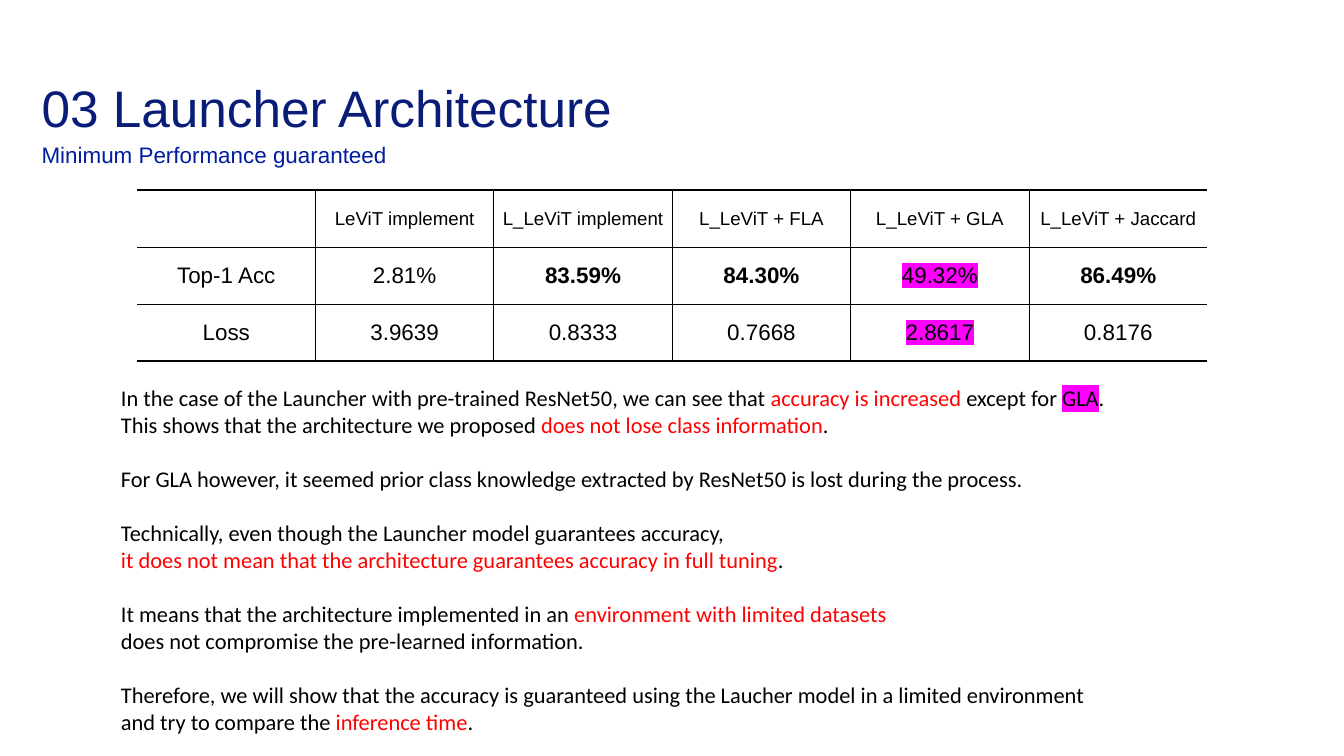
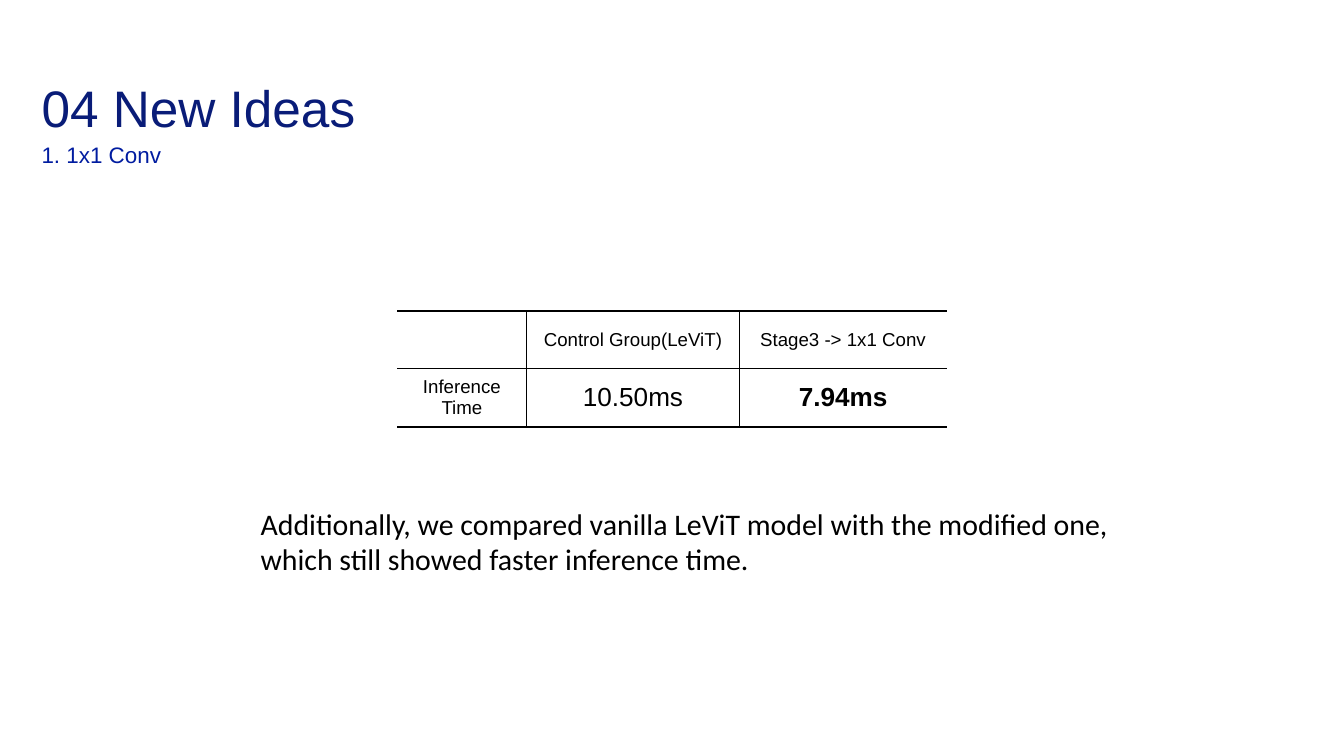
import pptx
import pptx.dml.color
import pptx.enum.text
import pptx.oxml
import pptx.oxml.ns
import pptx.util

Cm = pptx.util.Cm
Pt = pptx.util.Pt
RGB = pptx.dml.color.RGBColor
MIDDLE = pptx.enum.text.MSO_ANCHOR.MIDDLE
ALIGN = pptx.enum.text.PP_ALIGN

NAVY = RGB(0x09, 0x1C, 0x78)
BLUE = RGB(0x00, 0x1C, 0xA0)
BLACK = RGB(0x00, 0x00, 0x00)
RED = RGB(0xFF, 0x00, 0x00)
PINK = RGB(0xFF, 0x00, 0xFF)

HEAD_FONT = "Arial"
BODY_FONT = "Calibri"
THIN, THICK = Pt(1), Pt(2.25)

LOOKS = {
    "plain": {},
    "red": {"color": RED},
    "bold": {"bold": True},
    "mark": {"mark": PINK},
}


def style(run, size, name, color=BLACK, bold=False, mark=None):
    font = run.font
    font.size, font.name, font.bold = Pt(size), name, bold
    font.color.rgb = color
    if mark is not None:
        glow = pptx.oxml.parse_xml(
            f'<a:highlight {pptx.oxml.ns.nsdecls("a")}>'
            f'<a:srgbClr val="{mark}"/></a:highlight>')
        run._r.rPr.find(pptx.oxml.ns.qn("a:solidFill")).addnext(glow)


def fill_line(para, parts, size, name):
    """Write a line given as text or as a list of text and (text, look)."""
    for part in [parts] if isinstance(parts, (str, tuple)) else parts:
        text, look = (part, "plain") if isinstance(part, str) else part
        run = para.add_run()
        run.text = text
        style(run, size, name, **LOOKS[look])


def place(shape, box):
    shape.left, shape.top, shape.width, shape.height = map(Cm, box)


def set_head(shape, box, text, size, color, spacing):
    place(shape, box)
    frame = shape.text_frame
    frame.text = text
    frame.word_wrap = True
    frame.auto_size = pptx.enum.text.MSO_AUTO_SIZE.NONE
    frame.vertical_anchor = MIDDLE
    frame.margin_left = frame.margin_right = 0
    frame.margin_top = frame.margin_bottom = 0
    para = frame.paragraphs[0]
    para.alignment = ALIGN.LEFT
    para.line_spacing = spacing
    style(para.runs[0], size, HEAD_FONT, color)


def add_page(deck, title, topic):
    slide = deck.slides.add_slide(deck.slide_layouts[5])
    set_head(slide.shapes.title, (1.57, 2.51, 25.93, 2.72),
             title, 55, NAVY, 1.16)
    label = slide.shapes.add_textbox(0, 0, 0, 0)
    set_head(label, (1.57, 5.28, 34.37, 1.24), topic, 24, BLUE, 0.95)
    return slide


def add_body(slide, box, blocks, size):
    """Add blocks of lines, set apart by the height of one line."""
    shape = slide.shapes.add_textbox(0, 0, 0, 0)
    place(shape, box)
    frame = shape.text_frame
    frame.word_wrap = True
    frame.margin_left = frame.margin_right = Cm(0.25)
    frame.margin_top = frame.margin_bottom = Cm(0.25)
    para = frame.paragraphs[0]
    for i, block in enumerate(blocks):
        for j, line in enumerate(block):
            if i or j:
                para = frame.add_paragraph()
            if i and not j:
                para.space_before = Pt(size * 1.22)
            fill_line(para, line, size, BODY_FONT)


def set_edges(cell, edges):
    """Draw the left, right, top and bottom edge; None leaves one open."""
    props = cell._tc.get_or_add_tcPr()
    for side, width in zip("LRTB", edges):
        paint = (f'<a:solidFill><a:srgbClr val="{BLACK}"/></a:solidFill>'
                 if width else "<a:noFill/>")
        props.append(pptx.oxml.parse_xml(
            f'<a:ln{side} {pptx.oxml.ns.nsdecls("a")} w="{width or 0}">'
            f'{paint}</a:ln{side}>'))


def add_grid(slide, box, widths, rows, sizes):
    """Add an open-sided table; sizes(row, col) gives the text size."""
    high, wide = len(rows), len(widths)
    frame = slide.shapes.add_table(high, wide, *map(Cm, box))
    table = frame.table
    table.first_row = table.horz_banding = False
    for col, width in zip(table.columns, widths):
        col.width = Cm(width)
    for r, row in enumerate(rows):
        table.rows[r].height = Cm(box[3] / high)
        for c, entry in enumerate(row):
            cell = table.cell(r, c)
            set_edges(cell, (THIN if c else None,
                             THIN if c < wide - 1 else None,
                             THIN if r else THICK,
                             THIN if r < high - 1 else THICK))
            cell.fill.background()
            cell.vertical_anchor = MIDDLE
            para = cell.text_frame.paragraphs[0]
            para.alignment = ALIGN.CENTER
            if entry:
                fill_line(para, entry, sizes(r, c), HEAD_FONT)


def add_launcher(deck):
    slide = add_page(deck, "03 Launcher Architecture",
                     "Minimum Performance guaranteed")
    scores = [
        ["", "LeViT implement", "L_LeViT implement", "L_LeViT + FLA",
         "L_LeViT + GLA", "L_LeViT + Jaccard"],
        ["Top-1 Acc", "2.81%", ("83.59%", "bold"), ("84.30%", "bold"),
         ("49.32%", "mark"), ("86.49%", "bold")],
        ["Loss", "3.9639", "0.8333", "0.7668", ("2.8617", "mark"), "0.8176"],
    ]
    add_grid(slide, (5.18, 7.19, 40.46, 6.47), [40.46 / 6] * 6, scores,
             lambda r, c: 24 if r else 20)
    blocks = [
        [["In the case of the Launcher with pre-trained ResNet50, "
          "we can see that ", ("accuracy is increased ", "red"),
          "except for ", ("GLA", "mark"), "."],
         ["This shows that the architecture we proposed ",
          ("does not lose class information", "red"), "."]],
        ["For GLA however, it seemed prior class knowledge extracted by "
         "ResNet50 is lost during the process."],
        ["Technically, even though the Launcher model guarantees accuracy,",
         [("it does not mean that the architecture guarantees accuracy "
           "in full tuning", "red"), "."]],
        [["It means that the architecture implemented in an ",
          ("environment with limited datasets", "red")],
         "does not compromise the pre-learned information."],
        ["Therefore, we will show that the accuracy is guaranteed using the "
         "Laucher model in a limited environment",
         ["and try to compare the ", ("inference time", "red"), "."]],
    ]
    add_body(slide, (4.32, 14.27, 42.16, 13.67), blocks, 24)


def add_ideas(deck):
    slide = add_page(deck, "04 New Ideas", "1. 1x1 Conv")
    lines = ["Additionally, we compared vanilla LeViT model with the "
             "modified one,",
             "which still showed faster inference time."]
    add_body(slide, (9.6, 18.85, 35.84, 4.37), [lines], 32)
    times = [
        ["", "Control Group(LeViT)", "Stage3 -> 1x1 Conv"],
        ["Inference Time", "10.50ms", ("7.94ms", "bold")],
    ]
    add_grid(slide, (15.01, 11.76, 20.78, 4.37), (4.9, 8.03, 7.85), times,
             lambda r, c: 28 if r and c else 20)


def main():
    deck = pptx.Presentation()
    deck.slide_width, deck.slide_height = Cm(50.8), Cm(28.58)
    add_launcher(deck)
    add_ideas(deck)
    deck.save("out.pptx")


if __name__ == "__main__":
    main()
